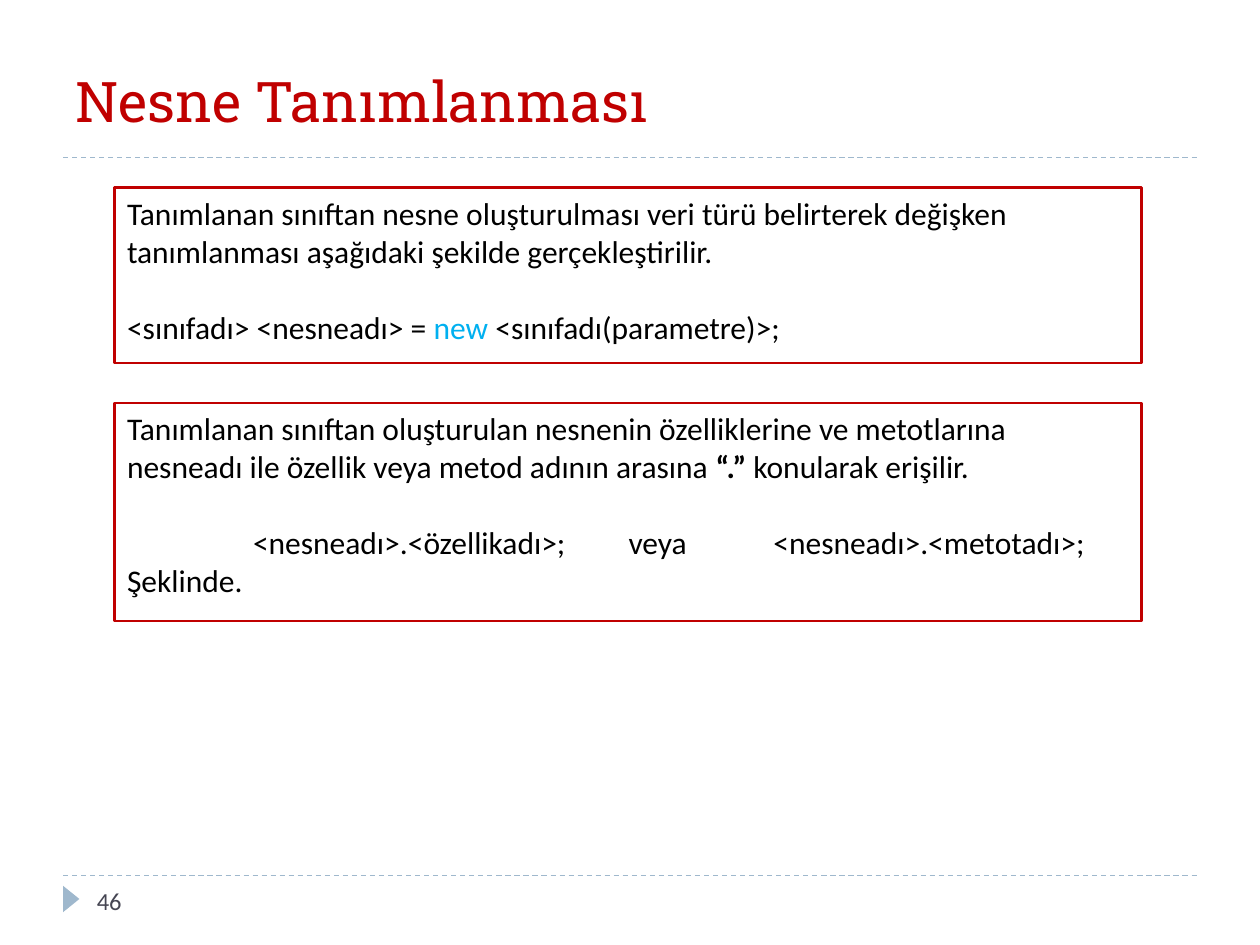
from dataclasses import dataclass
from typing import Any

from lxml import etree
from pptx import Presentation, util as u
from pptx.dml.color import RGBColor
from pptx.enum import dml, shapes, text
from pptx.oxml.ns import qn

INK, RED, BLUE, KEYWORD = "000000", "C00000", "9FB8CD", "00B0F0"


def colour(value):
    return RGBColor.from_string(value)


@dataclass
class SlideWriter:
    """Holds the style and the page, and adds each kind of element."""

    page: Any
    font: str = "Calibri"
    size: float = 18

    def rule(self, top):
        line = self.page.shapes.add_connector(
            shapes.MSO_CONNECTOR.STRAIGHT,
            u.Inches(0.5), u.Inches(top), u.Inches(9.5), u.Inches(top))
        line.line.color.rgb = colour(BLUE)
        line.line.width = u.Pt(0.75)
        line.line.dash_style = dml.MSO_LINE.DASH
        etree.SubElement(line._element.spPr, qn("a:effectLst"))

    def shape(self, kind, place, fill, border=None):
        box = self.page.shapes.add_shape(kind, *map(u.Inches, place))
        box.shadow.inherit = False
        box.fill.solid()
        box.fill.fore_color.rgb = colour(fill)
        if border:
            box.line.color.rgb = colour(border)
            box.line.width = u.Pt(1.5)
        else:
            box.line.fill.background()
        return box

    def span(self, para, words, ink=INK, bold=False, size=None, font=None):
        span = para.add_run()
        span.text = words
        span.font.name = font or self.font
        span.font.size = u.Pt(size or self.size)
        span.font.bold = bold
        span.font.color.rgb = colour(ink)

    def label(self, place, words, anchor, **style):
        frame = self.page.shapes.add_textbox(*map(u.Inches, place)).text_frame
        frame.word_wrap = True
        frame.vertical_anchor = anchor
        frame.margin_top = frame.margin_bottom = u.Inches(0.02)
        self.span(frame.paragraphs[0], words, **style)

    def tabs(self, para, stops):
        tab_list = etree.SubElement(para._p.get_or_add_pPr(), qn("a:tabLst"))
        for stop in stops:
            etree.SubElement(tab_list, qn("a:tab"), pos=str(u.Inches(stop)), algn="l")

    def panel(self, top, height, paragraphs, stops=()):
        box = self.shape(shapes.MSO_SHAPE.ROUNDED_RECTANGLE,
                         (0.91, top, 8.15, height), "FFFFFF", RED)
        box.adjustments[0] = 0
        frame = box.text_frame
        frame.word_wrap = True
        frame.vertical_anchor = text.MSO_ANCHOR.TOP
        for index, spans in enumerate(paragraphs):
            para = frame.add_paragraph() if index else frame.paragraphs[0]
            para.alignment = text.PP_ALIGN.LEFT
            if index == 1:
                self.tabs(para, stops)
                para.space_before = u.Pt(22)
            for words, *style in spans:
                self.span(para, words, *style)


def main():
    deck = Presentation()
    deck.slide_width, deck.slide_height = u.Inches(10), u.Inches(7.5)
    writer = SlideWriter(deck.slides.add_slide(deck.slide_layouts[6]))
    for top in (6.95, 1.25):
        writer.rule(top)
    marker = writer.shape(shapes.MSO_SHAPE.ISOSCELES_TRIANGLE, (0.46, 7.07, 0.21, 0.13), BLUE)
    marker.rotation = 90
    writer.label((0.5, 0.5, 9, 0.58), "Nesne Tanımlanması", text.MSO_ANCHOR.BOTTOM,
                 ink=RED, size=32, font="Roboto Slab")
    writer.label((0.67, 6.95, 2.17, 0.4), "46", text.MSO_ANCHOR.MIDDLE, ink="464653", size=14)
    writer.panel(1.49, 1.39, [
        [("Tanımlanan sınıftan nesne oluşturulması veri türü belirterek değişken "
          "tanımlanması aşağıdaki şekilde gerçekleştirilir.",)],
        [("<sınıfadı> <nesneadı> = ",), ("new ", KEYWORD), ("<sınıfadı(parametre)>;",)],
    ])
    writer.panel(3.2, 1.73, [
        [("Tanımlanan sınıftan oluşturulan nesnenin özelliklerine ve metotlarına "
          "nesneadı ile özellik veya metod adının arasına ",),
         ("“.”", INK, True), (" konularak erişilir.",)],
        [("\t<nesneadı>.<özellikadı>;\tveya\t<nesneadı>.<metotadı>;",)],
        [("Şeklinde.",)],
    ], stops=(1, 3.98, 5.13))
    deck.save("out.pptx")


if __name__ == "__main__":
    main()
